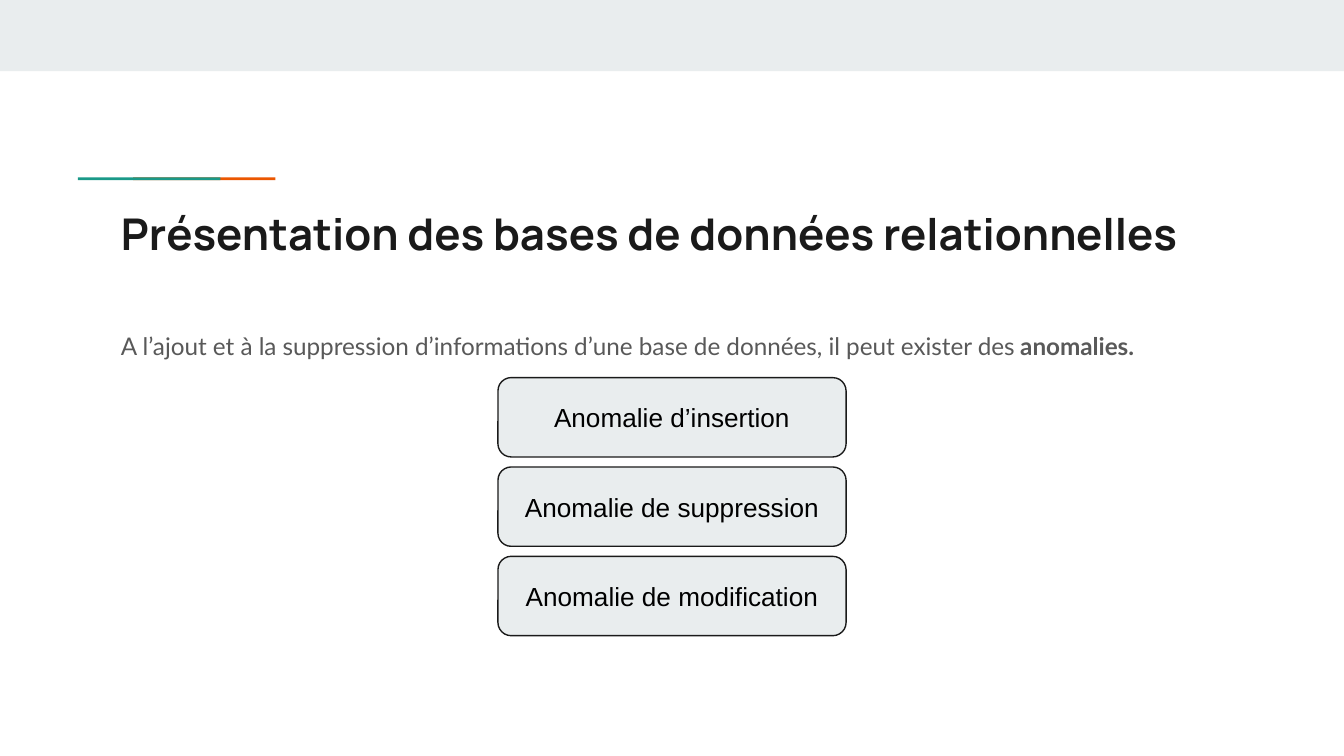
from lxml import etree
from pptx import Presentation
from pptx.dml.color import RGBColor
from pptx.enum.shapes import MSO_SHAPE as SHAPE
from pptx.enum.text import MSO_ANCHOR as ANCHOR, MSO_AUTO_SIZE as AUTO, PP_ALIGN as ALIGN
from pptx.oxml.ns import qn
from pptx.util import Inches, Pt

PALE = RGBColor(0xE9, 0xED, 0xEE)
ORANGE = RGBColor(0xEB, 0x56, 0x00)
TEAL = RGBColor(0x1A, 0x99, 0x88)
INK = RGBColor(0x1A, 0x1A, 0x1A)
GREY = RGBColor(0x59, 0x59, 0x59)
BLACK = RGBColor(0, 0, 0)

WIDTH = 10
HEIGHT = WIDTH * 9 / 16
TEXT_LEFT, TEXT_WIDTH = 0.8, 8.41
BOX_TOP, BOX_WIDTH, BOX_HEIGHT = 2.81, 2.59, 0.59
BOX_LEFT = (WIDTH - BOX_WIDTH) / 2
BOX_STEP = HEIGHT * 0.5 / 4.23
ANOMALIES = ["Anomalie d’insertion", "Anomalie de suppression", "Anomalie de modification"]


def add_block(slide, kind, left, top, width, height, fill):
    sp = slide.shapes.add_shape(kind, *map(Inches, (left, top, width, height)))
    sp.shadow.inherit = False
    sp.fill.solid()
    sp.fill.fore_color.rgb = fill
    sp.line.fill.background()
    return sp


def set_frame(tf, anchor):
    tf.word_wrap = True
    tf.auto_size = AUTO.NONE
    tf.vertical_anchor = anchor
    tf.margin_left = tf.margin_right = tf.margin_top = tf.margin_bottom = Inches(0.1)


def style_paragraph(p, font, size, color, align=ALIGN.LEFT, bold=False):
    p.alignment = align
    p.space_before = Pt(0)
    p.font.name = font
    p.font.size = Pt(size)
    p.font.color.rgb = color
    p.font.bold = bold


def fill_placeholder(sp, top, height, runs):
    """Place the placeholder and write (text, bold) runs; return its paragraph."""
    sp.left, sp.top, sp.width, sp.height = map(Inches, (TEXT_LEFT, top, TEXT_WIDTH, height))
    set_frame(sp.text_frame, ANCHOR.TOP)
    p = sp.text_frame.paragraphs[0]
    for text, bold in runs:
        r = p.add_run()
        r.text = text
        if bold:
            r.font.bold = True
    return p


def remove_bullet(p):
    p_pr = p._p.get_or_add_pPr()
    p_pr.set("marL", "0")
    p_pr.set("indent", "0")
    p_pr.insert_element_before(etree.SubElement(p_pr, qn("a:buNone")), "a:tabLst", "a:defRPr")


def add_anomaly(slide, row, text):
    sp = add_block(slide, SHAPE.ROUNDED_RECTANGLE, BOX_LEFT, BOX_TOP + row * BOX_STEP,
                   BOX_WIDTH, BOX_HEIGHT, PALE)
    sp.line.color.rgb = INK
    sp.line.width = Pt(0.75)
    set_frame(sp.text_frame, ANCHOR.MIDDLE)
    p = sp.text_frame.paragraphs[0]
    p.text = text
    style_paragraph(p, "Arial", 14, BLACK, ALIGN.CENTER)


def main():
    prs = Presentation()
    prs.slide_width, prs.slide_height = Inches(WIDTH), Inches(HEIGHT)
    slide = prs.slides.add_slide(prs.slide_layouts[1])

    # Top band and two-colour accent line
    add_block(slide, SHAPE.RECTANGLE, 0, 0, WIDTH, 0.53, PALE)
    for left, color in ((0.99, ORANGE), (0.58, TEAL)):
        add_block(slide, SHAPE.RECTANGLE, left, 1.32, 1.06, 0.02, color)

    # Title
    p = fill_placeholder(slide.shapes.title, 1.44, 0.59,
                         [("Présentation des bases de données relationnelles", False)])
    style_paragraph(p, "Manrope", 23.4, INK, bold=True)

    # Introductory sentence
    p = fill_placeholder(slide.placeholders[1], 2.33, 2.47, [
        ("A l’ajout et à la suppression d’informations d’une base de données, "
         "il peut exister des ", False),
        ("anomalies.", True)])
    style_paragraph(p, "Lato", 13, GREY)
    p.line_spacing = 1.15
    p.space_after = Pt(12)
    remove_bullet(p)

    # Stack of anomaly kinds
    for row, text in enumerate(ANOMALIES):
        add_anomaly(slide, row, text)

    prs.save("out.pptx")


if __name__ == "__main__":
    main()
